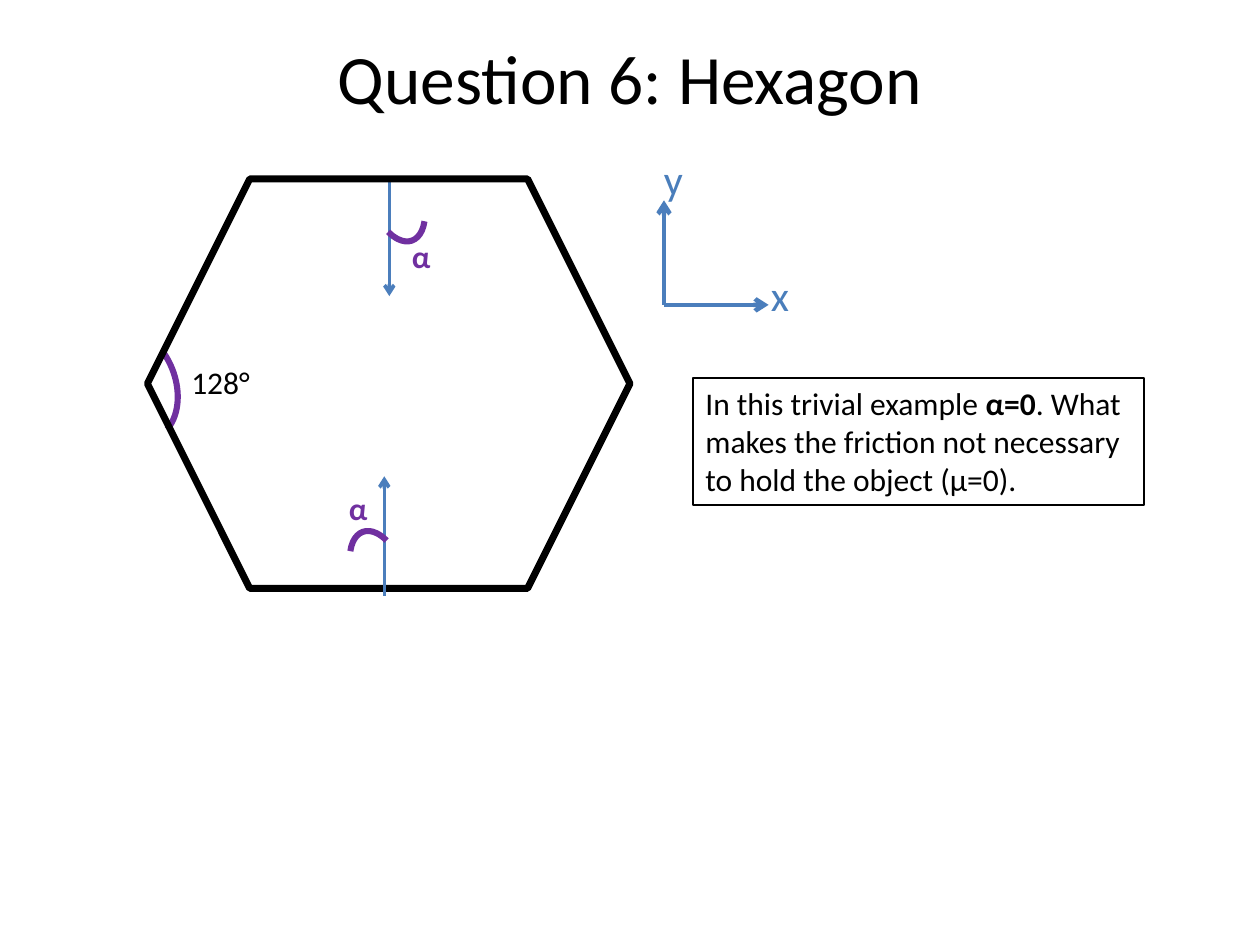
from dataclasses import dataclass
from lxml.etree import SubElement
from pptx import Presentation
from pptx.dml.color import RGBColor
from pptx.enum.shapes import MSO_CONNECTOR, MSO_SHAPE
from pptx.enum.text import MSO_ANCHOR, MSO_AUTO_SIZE, PP_ALIGN
from pptx.oxml.ns import qn
from pptx.util import Pt


@dataclass(frozen=True)
class Theme:
    font: str = "Calibri"
    ink: str = "000000"
    axis: str = "4B7EBC"
    axis_text: str = "4A7EBB"
    angle: str = "7030A0"
    title_size: float = 39.6
    axis_size: float = 24
    body_size: float = 18
    outline: float = 4
    angle_line: float = 3.5
    axis_line: float = 2.5
    force_line: float = 2
    border: float = 1


theme = Theme()

TITLE = "Question 6: Hexagon"
TITLE_BOX = (36, 21.6, 648, 44.64)
HEXAGON_BOX = (84.24, 102.24, 275.76, 234)
VERTEX_ARC = ((43.2, 195.84, 66.24, 47.52), 68.4, (146.99, 206.85))
VERTEX_LABEL = ("128°", (102.24, 203.76, 59.76, 28.8))
CONTACT_SWEEP = (143.51, 182.57)
TOP_CONTACT = {"force": ((222.48, 100.8), (222.48, 169.2)),
               "arc": (212.4, 87.84, 28.8, 51.12), "turn": 160.4,
               "label": (228.24, 131.76, 25.2, 28.8)}
BOTTOM_CONTACT = {"force": ((219.6, 340.56), (219.6, 272.16)),
                  "arc": (201.6, 302.4, 28.8, 51.12), "turn": 340.3,
                  "label": (192.24, 275.76, 25.2, 28.8)}
AXIS_ORIGIN = (379.44, 174.24)
AXES = [("y", (379.44, 114.48), (372.24, 84.24, 25.2, 36)),
        ("x", (439.2, 174.24), (433.44, 150.48, 25.2, 36))]
NOTE_BOX = (396, 216, 257.76, 72.72)
NOTE = [("In this trivial example ", False), ("α=0", True),
        (". What makes the friction not necessary to hold the object (μ=0).", False)]


def rgb(color):
    return RGBColor.from_string(color)


def points(values):
    return [Pt(value) for value in values]


def write(frame, runs, size, color, align=PP_ALIGN.LEFT):
    paragraph = frame.paragraphs[0]
    paragraph.alignment = align
    for wording, bold in runs:
        run = paragraph.add_run()
        run.text = wording
        run.font.name = theme.font
        run.font.size = Pt(size)
        run.font.bold = bold
        run.font.color.rgb = rgb(color)


def add_label(box, wording, size, color, bold=False):
    frame = slide.shapes.add_textbox(*points(box)).text_frame
    frame.word_wrap = False
    frame.auto_size = MSO_AUTO_SIZE.SHAPE_TO_FIT_TEXT
    write(frame, [(wording, bold)], size, color)


def add_outline(kind, box, color, width):
    outline = slide.shapes.add_shape(kind, *points(box))
    outline.shadow.inherit = False
    outline.fill.background()
    outline.line.color.rgb = rgb(color)
    outline.line.width = Pt(width)
    return outline


def add_arc(box, turn, sweep):
    arc = add_outline(MSO_SHAPE.ARC, box, theme.angle, theme.angle_line)
    arc.rotation = turn
    arc.adjustments[0], arc.adjustments[1] = sweep


def add_arrow(start, end, width):
    arrow = slide.shapes.add_connector(MSO_CONNECTOR.STRAIGHT, *points(start + end))
    arrow.line.color.rgb = rgb(theme.axis)
    arrow.line.width = Pt(width)
    SubElement(arrow.line._get_or_add_ln(), qn("a:tailEnd"), type="arrow")
    SubElement(arrow._element.spPr, qn("a:effectLst"))


def add_contact(contact):
    add_arrow(*contact["force"], theme.force_line)
    add_arc(contact["arc"], contact["turn"], CONTACT_SWEEP)
    add_label(contact["label"], "α", theme.body_size, theme.angle, True)


deck = Presentation()
deck.slide_width, deck.slide_height = Pt(720), Pt(540)
slide = deck.slides.add_slide(deck.slide_layouts[5])

title = slide.shapes.title
title.left, title.top, title.width, title.height = points(TITLE_BOX)
title.text_frame.auto_size = MSO_AUTO_SIZE.NONE
title.text_frame.vertical_anchor = MSO_ANCHOR.MIDDLE
write(title.text_frame, [(TITLE, False)], theme.title_size, theme.ink, PP_ALIGN.CENTER)

add_arc(*VERTEX_ARC)
wording, box = VERTEX_LABEL
add_label(box, wording, theme.body_size, theme.ink)

for name, tip, box in AXES:
    add_arrow(AXIS_ORIGIN, tip, theme.axis_line)
    add_label(box, name, theme.axis_size, theme.axis_text)

add_contact(TOP_CONTACT)
add_outline(MSO_SHAPE.HEXAGON, HEXAGON_BOX, theme.ink, theme.outline)
add_contact(BOTTOM_CONTACT)

note = add_outline(MSO_SHAPE.RECTANGLE, NOTE_BOX, theme.ink, theme.border).text_frame
note.word_wrap = True
note.auto_size = MSO_AUTO_SIZE.SHAPE_TO_FIT_TEXT
note.vertical_anchor = MSO_ANCHOR.TOP
write(note, NOTE, theme.body_size, theme.ink)

deck.save("out.pptx")
